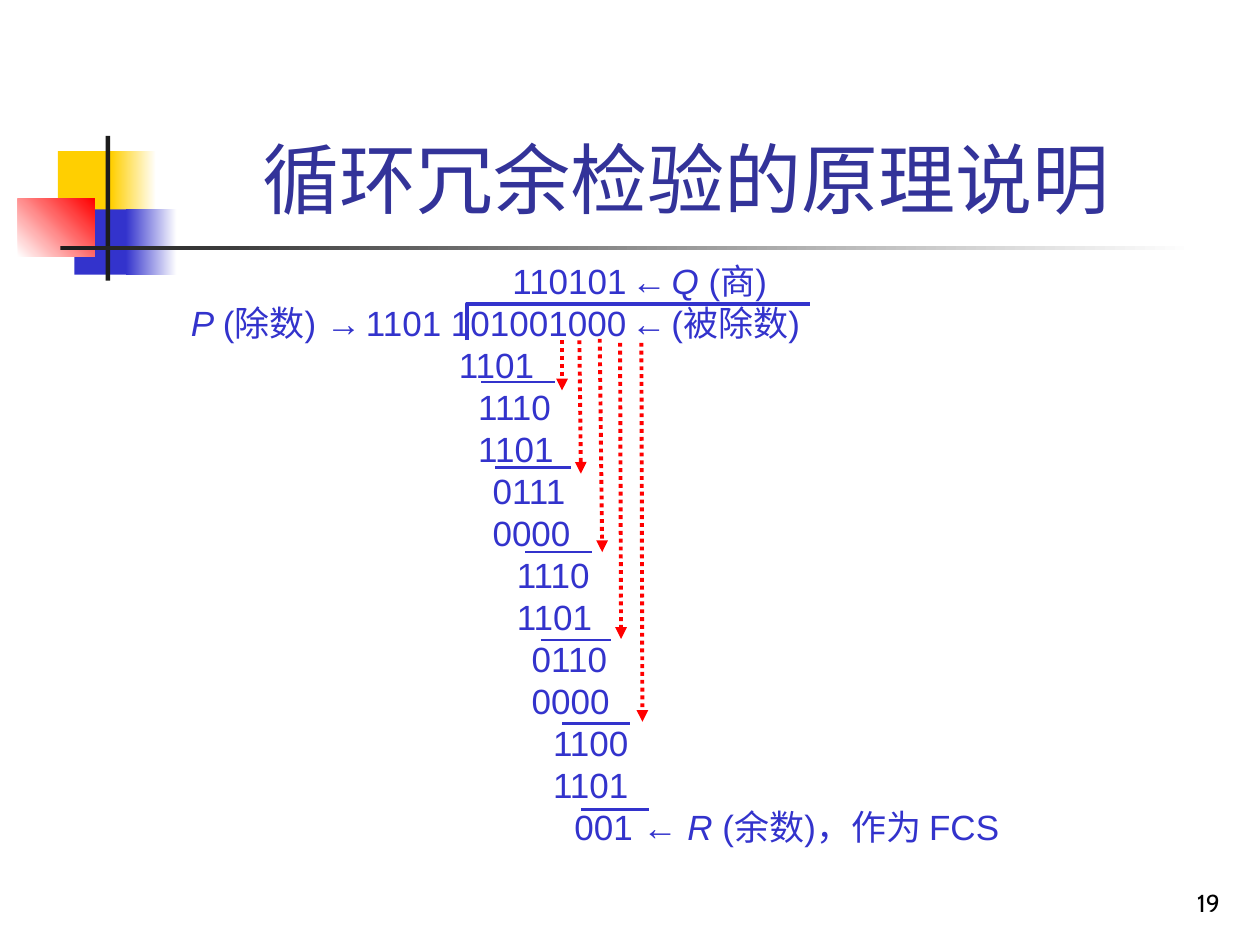
from lxml import etree
from pptx import Presentation
from pptx.dml.color import RGBColor
from pptx.enum.dml import MSO_LINE
from pptx.enum.shapes import MSO_CONNECTOR, MSO_SHAPE
from pptx.enum.text import MSO_ANCHOR, PP_ALIGN
from pptx.oxml.ns import qn
from pptx.util import Cm, Pt

RECTANGLE = MSO_SHAPE.RECTANGLE
STRAIGHT = MSO_CONNECTOR.STRAIGHT
DOTTED = MSO_LINE.ROUND_DOT
TOP, BOTTOM = MSO_ANCHOR.TOP, MSO_ANCHOR.BOTTOM
LEFT, CENTER, RIGHT = PP_ALIGN.LEFT, PP_ALIGN.CENTER, PP_ALIGN.RIGHT

rgb = RGBColor.from_string
YELLOW, BLUE, RED = "FFCF01", "3333CC", "FF0000"
WHITE, BLACK, INK, TITLE_BLUE = "FFFFFF", "000000", "1C1C1C", "333399"

presentation = Presentation()
presentation.slide_width, presentation.slide_height = Cm(25.4), Cm(19.05)
slide = presentation.slides.add_slide(presentation.slide_layouts[6])


def add_text(box, lines, font, color, alignment=LEFT, anchor=TOP, spacing=None):
    """Each line is (indent in cm, [(text, size, bold, italic), ...])."""
    left, top, width, height = map(Cm, box)
    frame = slide.shapes.add_textbox(left, top, width, height).text_frame
    frame.word_wrap = True
    frame.vertical_anchor = anchor
    for index, (indent, runs) in enumerate(lines):
        paragraph = frame.add_paragraph() if index else frame.paragraphs[0]
        paragraph.alignment = alignment
        paragraph.line_spacing = spacing
        paragraph._p.get_or_add_pPr().set("marL", str(Cm(indent)))
        for text, size, bold, italic in runs:
            run = paragraph.add_run()
            run.text = text
            run.font.name = font
            run.font.size = Pt(size)
            run.font.bold, run.font.italic = bold, italic
            run.font.color.rgb = rgb(color)


def add_line(start_x, start_y, end_x, end_y, color, width):
    connector = slide.shapes.add_connector(
        STRAIGHT, Cm(start_x), Cm(start_y), Cm(end_x), Cm(end_y))
    connector.line.color.rgb = rgb(color)
    connector.line.width = Pt(width)
    etree.SubElement(connector._element.spPr, qn("a:effectLst"))
    return connector


# Corner ornament and title rule: box, colours (two make a gradient), angle
ornaments = [
    ((1.17, 3.05, 1.22, 1.32), [YELLOW], 0),
    ((2.24, 3.05, 0.91, 1.32), [YELLOW, WHITE], 0),
    ((1.5, 4.22, 1.17, 1.32), [BLUE], 0),
    ((2.54, 4.22, 1.02, 1.32), [BLUE, WHITE], 0),
    ((0.36, 4.01, 1.55, 1.17), [WHITE, RED], 45),
    ((2.13, 2.74, 0.09, 2.92), [INK], 0),
    ((1.22, 4.95, 22.86, 0.09), [INK, WHITE], 0),
]
for box, colors, angle in ornaments:
    shape = slide.shapes.add_shape(RECTANGLE, *map(Cm, box))
    shape.shadow.inherit = False
    shape.line.fill.background()
    if len(colors) == 1:
        shape.fill.solid()
        shape.fill.fore_color.rgb = rgb(colors[0])
    else:
        shape.fill.gradient()
        shape.fill.gradient_angle = angle
        for position, (stop, color) in enumerate(zip(shape.fill.gradient_stops, colors)):
            stop.position = position
            stop.color.rgb = rgb(color)

# Title
add_text((3.2, 0.58, 21.64, 4.06),
         [(0, [("循环冗余检验的原理说明 ", 44, False, False)])],
         "Arial", TITLE_BLUE, CENTER, BOTTOM)

# Long division: quotient, divisor and dividend, steps, remainder
gap = (" ", 10, False, False)
arrow = ("←", 20, False, False)
steps = [(6.18, "1101"), (6.57, "1110"), (6.57, "1101"), (6.86, "0111"),
         (6.86, "0000"), (7.35, "1110"), (7.35, "1101"), (7.65, "0110"),
         (7.65, "0000"), (8.08, "1100"), (8.08, "1101")]
division = [
    (7.26, [("110101", 20, False, False), gap, arrow, gap,
            ("Q ", 20, False, True), ("(商)", 20, False, False)]),
    (0.78, [("P ", 20, False, True), ("(除数) ", 20, False, False),
            ("→", 20, True, False), gap,
            ("1101 101001000", 20, False, False), gap, arrow, gap,
            ("(被除数)", 20, False, False)]),
]
division += [(indent, [(digits, 20, False, False)]) for indent, digits in steps]
division.append((8.51, [("001 ← ", 20, False, False), ("R", 20, False, True),
                        (" (余数)，作为 FCS", 20, False, False)]))
add_text((2.82, 5.11, 22.5, 12.12), division, "Arial", BLUE, spacing=Pt(24))

# Division bracket
builder = slide.shapes.build_freeform(Cm(9.42), Cm(6.86))
builder.add_line_segments([(Cm(9.42), Cm(6.12)), (Cm(16.33), Cm(6.12))], close=False)
bracket = builder.convert_to_shape()
bracket.shadow.inherit = False
bracket.fill.background()
bracket.line.color.rgb = rgb(BLUE)
bracket.line.width = Pt(2.25)

# Dotted arrows that bring down the next digit
bring_downs = [(11.33, 6.86, 11.33, 7.87), (11.68, 6.86, 11.71, 9.55),
               (12.09, 6.83, 12.14, 11.13), (12.5, 6.91, 12.52, 12.88),
               (12.93, 6.91, 12.95, 14.55)]
for ends in bring_downs:
    connector = add_line(*ends, RED, 2.25)
    connector.line.dash_style = DOTTED
    etree.SubElement(connector.line._get_or_add_ln(), qn("a:tailEnd"), type="triangle")

# Subtraction rules: left, right, height on the slide
subtractions = [(9.7, 11.18, 7.7), (9.98, 11.51, 9.42), (10.59, 11.94, 11.13),
                (10.9, 12.32, 12.9), (11.33, 12.7, 14.59), (11.71, 13.08, 16.32)]
for left, right, y in subtractions:
    add_line(left, y, right, y, BLUE, 1.5)

# Slide number
add_text((19.56, 17.35, 5.28, 1.27), [(0, [("19", 14, False, False)])],
         "Cabin", BLACK, RIGHT, BOTTOM)

presentation.save("out.pptx")
